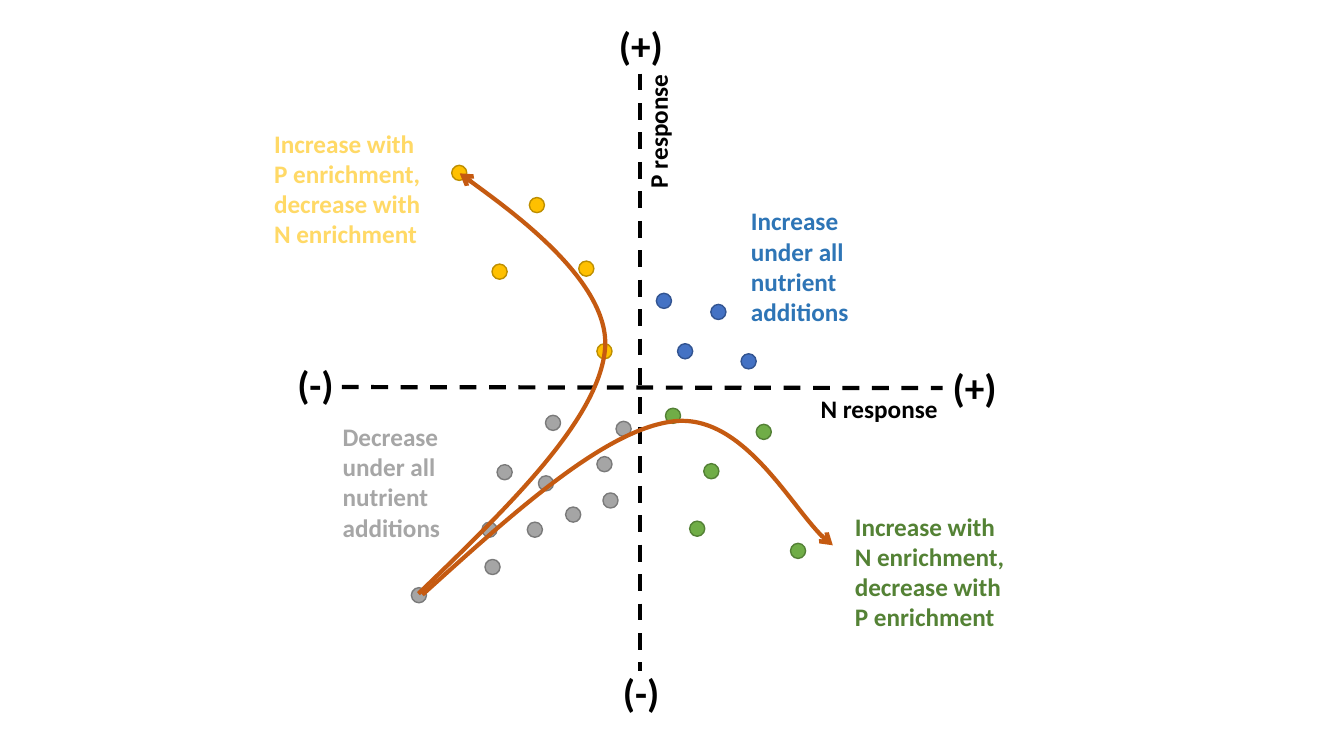
from dataclasses import dataclass

from lxml.etree import Element, SubElement
from pptx import Presentation
from pptx.dml.color import RGBColor as RGB
from pptx.enum.dml import MSO_LINE as DASH
from pptx.enum.shapes import MSO_CONNECTOR as CONN, MSO_SHAPE as SHAPE
from pptx.enum.text import MSO_AUTO_SIZE as FIT
from pptx.oxml.ns import qn
from pptx.util import Inches, Pt


@dataclass(frozen=True)
class Theme:
    """Colours, font and type sizes of the slide."""
    font: str = "Calibri"
    body: int = 18
    sign: int = 28
    thick: int = 3
    thin: int = 1
    ink: str = "000000"
    trend: str = "C55A11"


@dataclass(frozen=True)
class Plane:
    """Square box cut into cells, with the response axes crossing at its centre."""
    left: float
    top: float
    side: float
    cells: int = 60

    def size(self, n):
        """Return the length of n cells."""
        return Inches(n * self.side / self.cells)

    def at(self, n, p):
        """Return the slide position of an N and P response."""
        half = self.cells / 2
        return (Inches(self.left) + self.size(half + n),
                Inches(self.top) + self.size(half - p))


THEME = Theme()
DOT = 1.5
NOTE = (17.3, 13.1)
NAME = (17.3, 4)
SIGN = (10.9, 5.7)

AXES = [((0, 31.2), (0, -28.1)), ((-29.6, 0.1), (30, 0))]
SIGNS = [("(+)", (-3.1, 36.9)), ("(+)", (30, 2.9)),
         ("(-)", (-35, 3.2)), ("(-)", (-2.7, -27.3))]
NAMES = [("P response", (-6.9, 29.5), 270), ("N response", (16.9, 0), 0)]

GROUPS = [
    dict(text="Increase with P enrichment, decrease with N enrichment",
         pos=(-37.3, 26.3), ink="FFD966", fill="FFC000", edge="BD8E00",
         dots=[(-10.25, 18.15), (-17.95, 21.35), (-13.95, 11.55),
               (-5.35, 11.85), (-3.55, 3.65)]),
    dict(text="Increase with N enrichment, decrease with P enrichment",
         pos=(20.3, -11.7), ink="548235", fill="70AD47", edge="538035",
         dots=[(3.25, -2.75), (12.25, -4.35), (7.05, -8.25),
               (5.65, -13.95), (15.65, -16.15)]),
    dict(text="Decrease under all nutrient additions",
         pos=(-30.5, -2.8), ink="A6A6A6", fill="A5A5A5", edge="7A7A7A",
         dots=[(-8.65, -3.45), (-3.55, -7.55), (-9.35, -9.45),
               (-1.65, -4.05), (-6.65, -12.55), (-14.95, -14.05),
               (-10.45, -14.05), (-13.45, -8.35), (-14.65, -17.75),
               (-2.95, -11.15), (-21.95, -20.55)]),
    dict(text="Increase under all nutrient additions",
         pos=(10, 18.6), ink="2E75B6", fill="4472C4", edge="325491",
         dots=[(4.45, 3.65), (2.35, 8.65), (10.75, 2.65), (7.75, 7.55)]),
]

TRENDS = [
    ((-22, -20.4), [((-13.1, -11.8), (-4.2, -3.2), (-3.5, 3.8)),
                    ((-2.8, 10.7), (-17.9, 21.3), (-17.9, 21.3))]),
    ((-21.6, -20.5), [((-12.5, -12.3), (-3.5, -4.1), (3.3, -3.3)),
                      ((10.1, -2.5), (15.9, -13.5), (19.1, -15.6))]),
]


def apply(obj, **values):
    """Set each given attribute on an object."""
    for key, value in values.items():
        setattr(obj, key, value)


def style_line(sp, color, width, **extra):
    """Give a shape or connector a solid line colour and width."""
    sp.line.fill.solid()
    sp.line.fill.fore_color.rgb = RGB.from_string(color)
    apply(sp.line, width=Pt(width), **extra)


def add_label(s, box, text, pos, size, pt, color=THEME.ink, rotation=0):
    """Place bold text with its top left corner at a plane position."""
    sp = s.shapes.add_textbox(*box.at(*pos), *map(box.size, size))
    sp.rotation = rotation
    tf = sp.text_frame
    apply(tf, word_wrap=True, auto_size=FIT.SHAPE_TO_FIT_TEXT)
    r = tf.paragraphs[0].add_run()
    r.text = text
    apply(r.font, name=THEME.font, size=Pt(pt), bold=True)
    r.font.color.rgb = RGB.from_string(color)


def draw_axes(s, box):
    """Draw the two dashed response axes."""
    for start, end in AXES:
        sp = s.shapes.add_connector(CONN.STRAIGHT, *box.at(*start), *box.at(*end))
        style_line(sp, THEME.ink, THEME.thick, dash_style=DASH.DASH)
        SubElement(sp._element.spPr, qn("a:effectLst"))


def draw_dots(s, box, group):
    """Draw the dots of one response group."""
    for n, p in group["dots"]:
        corner = box.at(n - DOT / 2, p + DOT / 2)
        sp = s.shapes.add_shape(SHAPE.OVAL, *corner, box.size(DOT), box.size(DOT))
        sp.shadow.inherit = False
        sp.fill.solid()
        sp.fill.fore_color.rgb = RGB.from_string(group["fill"])
        style_line(sp, group["edge"], THEME.thin)


def draw_trend(s, box, start, curves):
    """Draw a curved arrow through cubic segments."""
    builder = s.shapes.build_freeform(*box.at(*start))
    builder.add_line_segments([box.at(*c[-1]) for c in curves], close=False)
    sp = builder.convert_to_shape()
    sp.shadow.inherit = False
    sp.fill.background()
    style_line(sp, THEME.trend, THEME.thick)
    for seg, curve in zip(list(sp._element.iter(qn("a:lnTo"))), curves):
        seg.tag = qn("a:cubicBezTo")
        for i, control in enumerate(curve[:2]):
            x, y = box.at(*control)
            seg.insert(i, Element(qn("a:pt"), x=str(x - sp.left), y=str(y - sp.top)))
    SubElement(sp._element.spPr.find(qn("a:ln")), qn("a:tailEnd"), type="arrow")


def draw_labels(s, box):
    """Write the axis names, axis signs and group notes."""
    for text, pos, rotation in NAMES:
        add_label(s, box, text, pos, NAME, THEME.body, rotation=rotation)
    for text, pos in SIGNS:
        add_label(s, box, text, pos, SIGN, THEME.sign)
    for group in GROUPS:
        add_label(s, box, group["text"], group["pos"], NOTE, THEME.body, group["ink"])


def draw_response_plane(s, box):
    """Draw the whole response diagram inside its box."""
    draw_axes(s, box)
    for group in GROUPS:
        draw_dots(s, box, group)
    for start, curves in TRENDS:
        draw_trend(s, box, start, curves)
    draw_labels(s, box)


def main():
    """Build and save the slide."""
    prs = Presentation()
    apply(prs, slide_width=Inches(13.33), slide_height=Inches(7.5))
    s = prs.slides.add_slide(prs.slide_layouts[6])
    draw_response_plane(s, Plane(left=3.35, top=0.85, side=6))
    prs.save("out.pptx")


main()
